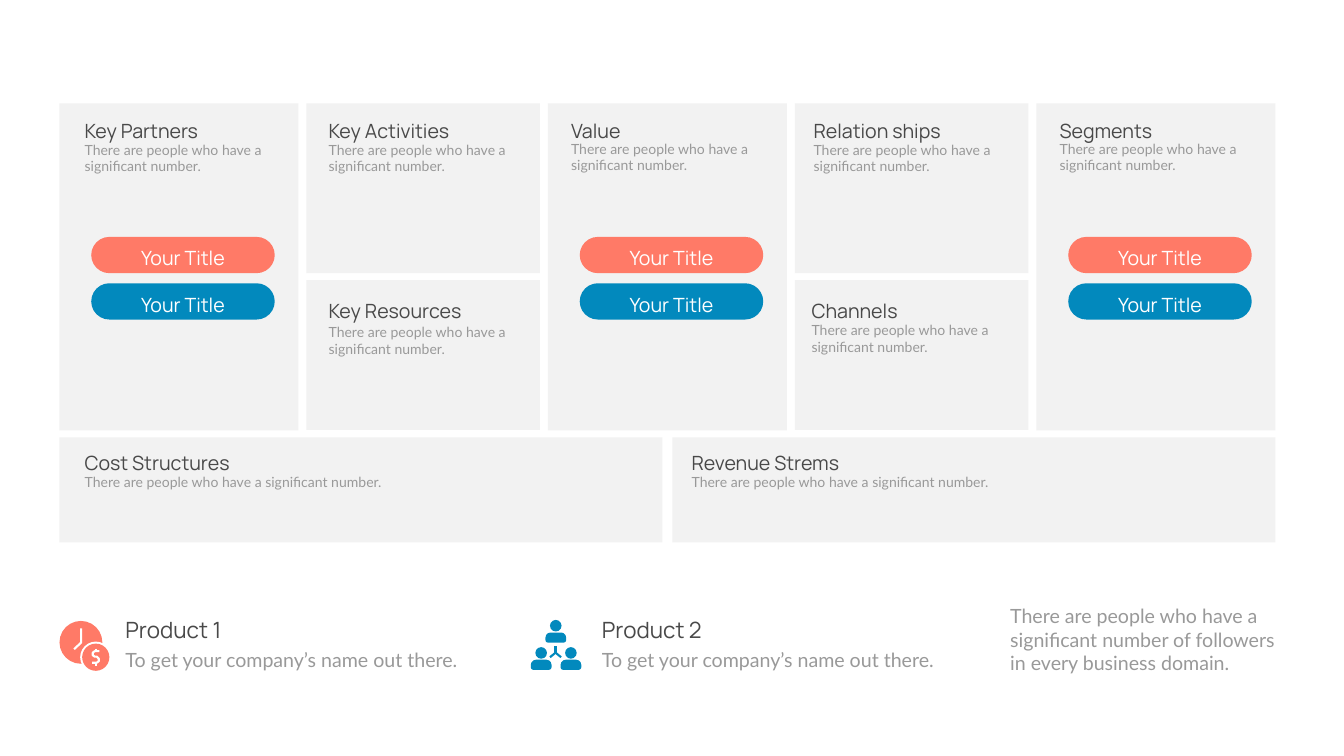
from itertools import accumulate
from pptx import Presentation
from pptx.dml.color import RGBColor
from pptx.enum import shapes, text
from pptx.util import Inches, Pt

CARD, CORAL, BLUE, DARK, GREY, WHITE = (
    "F2F2F2", "FF7A67", "0289BD", "494949", "999999", "FFFFFF")
NOTE = "There are people who have a significant number."
PILL = "Your Title"
CLAIM = "To get your company’s name out there."
CLOSING = ("There are people who have a significant number of followers "
           "in every business domain.")

# Card: heading, text inset, heading drop, gap from heading to note
COLUMNS = [
    [("Key Partners", 0.4, 0.26, 0.44)],
    [("Key Activities", 0.34, 0.26, 0.44), ("Key Resources", 0.34, 0.33, 0.48)],
    [("Value", 0.36, 0.26, 0.42)],
    [("Relation ships", 0.27, 0.26, 0.44), ("Channels", 0.23, 0.33, 0.44)],
    [("Segments", 0.36, 0.26, 0.42)],
]
FOOT = [("Cost Structures", 0.4, 0.21, 0.46), ("Revenue Strems", 0.28, 0.21, 0.46)]
PRODUCTS = [("Product 1", 2.39), ("Product 2", 11.84)]

LEFT, TOP, GAP = 1.18, 2.05, 0.16
TALL, WIDE, SLIM = 6.49, 4.74, 4.63
SPLIT = [(2.05, 3.37), (5.56, 2.97)]
FOOT_TOP, FOOT_W, FOOT_H, FOOT_GAP = 8.68, 11.96, 2.08, 0.2
KIND = shapes.MSO_SHAPE

deck = Presentation()
deck.slide_width, deck.slide_height = Inches(26.66), Inches(15)
slide = deck.slides.add_slide(deck.slide_layouts[6])


def color(code):
    return RGBColor.from_string(code)


def shape(home, kind, x, y, w, h, fill):
    item = home.shapes.add_shape(kind, *map(Inches, (x, y, w, h)))
    item.shadow.inherit = False
    item.fill.solid()
    item.fill.fore_color.rgb = color(fill)
    item.line.fill.background()
    return item


def write(frame, words, size, face, tint, align=text.PP_ALIGN.LEFT):
    frame.word_wrap = True
    para = frame.paragraphs[0]
    para.text = words
    para.alignment = align
    para.font.size, para.font.name = Pt(size), face
    para.font.color.rgb = color(tint)


def label(x, y, w, h, words, size, face, tint):
    box = slide.shapes.add_textbox(*map(Inches, (x, y, w, h)))
    write(box.text_frame, words, size, face, tint)


def stroke(home, points, tint, width):
    """Draw an open line through the points."""
    spots = [(Inches(x), Inches(y)) for x, y in points]
    pen = home.shapes.build_freeform(*spots[0])
    pen.add_line_segments(spots[1:], close=False)
    item = pen.convert_to_shape()
    item.shadow.inherit = False
    item.fill.background()
    item.line.color.rgb = color(tint)
    item.line.width = Pt(width)


def card(x, y, w, h, info):
    title, inset, drop, step = info
    shape(slide, KIND.RECTANGLE, x, y, w, h, CARD)
    label(x + inset, y + drop, 3.8, 0.56, title, 28, "Manrope", DARK)
    span = 6.29 if w > WIDE else 3.84
    label(x + inset, y + drop + step, span, 0.56, NOTE, 20, "Lato", GREY)


def pills(x):
    for y, fill in ((4.7, CORAL), (5.62, BLUE)):
        pill = shape(slide, KIND.ROUNDED_RECTANGLE, x, y, 3.64, 0.72, fill)
        pill.adjustments[0] = 0.5
        frame = pill.text_frame
        frame.margin_top, frame.margin_bottom = Inches(0.12), 0
        frame.vertical_anchor = text.MSO_ANCHOR.MIDDLE
        write(frame, PILL, 28, "Manrope", WHITE, text.PP_ALIGN.CENTER)


def clock():
    icon = slide.shapes.add_group_shape()
    for x, y, size, fill in ((LEFT, 12.32, 0.85, CORAL), (1.59, 12.73, 0.62, WHITE),
                             (1.63, 12.77, 0.54, CORAL)):
        shape(icon, KIND.OVAL, x, y, size, size, fill)
    stroke(icon, [(1.61, 12.47), (1.61, 12.75), (1.47, 12.88)], WHITE, 3)
    stroke(icon, [(1.97, 12.92), (1.88, 12.92), (1.84, 12.95), (1.84, 13),
                  (1.88, 13.03), (1.92, 13.03), (1.96, 13.07), (1.96, 13.12),
                  (1.92, 13.15), (1.83, 13.15)], WHITE, 3)
    for top in (12.87, 13.16):
        stroke(icon, [(1.9, top), (1.9, top + 0.05)], WHITE, 3)


def team():
    icon = slide.shapes.add_group_shape()
    for x, y in ((11.02, 12.3), (10.73, 12.84), (11.32, 12.84)):
        shape(icon, KIND.OVAL, x - 0.11, y, 0.23, 0.23, BLUE)
        body = shape(icon, KIND.ROUND_2_SAME_RECTANGLE, x - 0.2, y + 0.25, 0.41, 0.2, BLUE)
        body.adjustments[0], body.adjustments[1] = 0.5, 0.25
    hub = (11.02, 12.95)
    for end in ((11.02, 12.81), (10.91, 13.04), (11.13, 13.04)):
        stroke(icon, [hub, end], BLUE, 3)


widths = [SLIM if len(cards) > 1 else WIDE for cards in COLUMNS]
lefts = accumulate([w + GAP for w in widths[:-1]], initial=LEFT)
for x, w, cards in zip(lefts, widths, COLUMNS):
    rows = SPLIT if len(cards) > 1 else [(TOP, TALL)]
    for (y, h), info in zip(rows, cards):
        card(x, y, w, h, info)
    if len(cards) == 1:
        pills(x + 0.63)

for i, info in enumerate(FOOT):
    card(LEFT + i * (FOOT_W + FOOT_GAP), FOOT_TOP, FOOT_W, FOOT_H, info)

for name, x in PRODUCTS:
    label(x, 12.17, 4.99, 0.64, name, 32, "Manrope", DARK)
    label(x, 12.81, 7.12, 0.57, CLAIM, 28, "Lato", GREY)
label(19.94, 11.94, 5.54, 1.51, CLOSING, 28, "Lato", GREY)
clock()
team()

deck.save("out.pptx")
